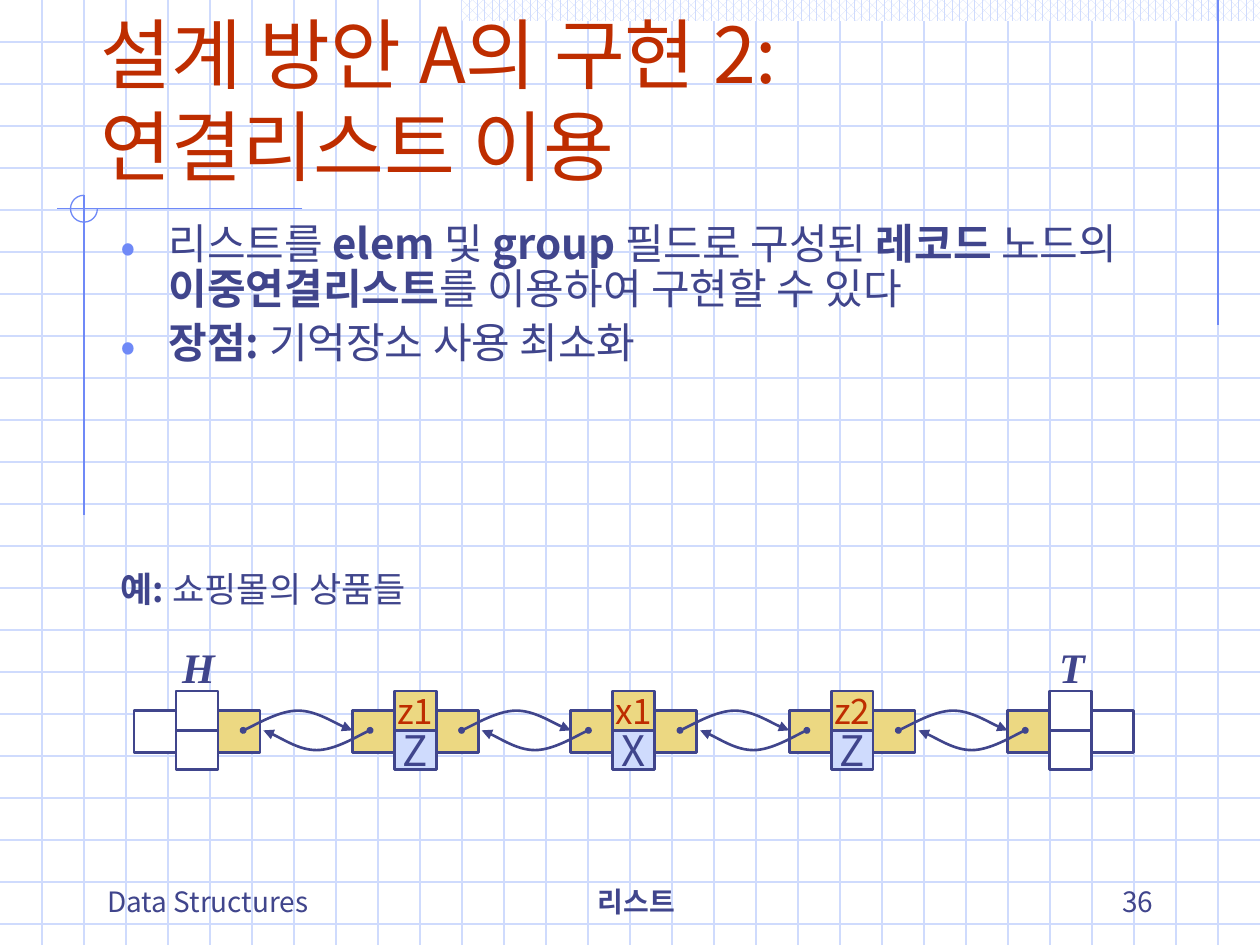
from lxml import etree
from pptx import Presentation, util as u
from pptx.dml.color import RGBColor
from pptx.enum import dml, shapes, text
from pptx.oxml.ns import qn

INK, RED, BLUE, PALE, GOLD, WHITE = (
    "40458C", "BE2D00", "6F89F7", "CFDBFD", "ECD882", "FFFFFF")
SANS, SERIF = "Noto Sans CJK KR", "Times New Roman"
CELL = u.Inches(10) / 30  # the slide is 30 columns by 22.5 rows
LEFT, CENTER, RIGHT = text.PP_ALIGN.LEFT, text.PP_ALIGN.CENTER, text.PP_ALIGN.RIGHT
TOP, MIDDLE, BOTTOM = (text.MSO_ANCHOR.TOP, text.MSO_ANCHOR.MIDDLE,
                       text.MSO_ANCHOR.BOTTOM)


def paint(shape, line=INK, width=1.5, fill=None):
    """Colour the line and fill, and switch the theme shadow off."""
    if hasattr(shape, "fill"):
        if fill:
            shape.fill.solid()
            shape.fill.fore_color.rgb = RGBColor.from_string(fill)
        else:
            shape.fill.background()
    shape.line.color.rgb = RGBColor.from_string(line)
    shape.line.width = u.Pt(width)
    etree.SubElement(shape._element.spPr, qn("a:effectLst"))
    return shape


def write(box, *paragraphs, size=16, color=INK, font=SANS, italic=False,
          align=LEFT, anchor=TOP, wrap=True, margins=(0.1, 0.05), bullet=None):
    """Fill a box; each paragraph is a list of (text, bold) runs."""
    frame = box.text_frame
    frame.word_wrap, frame.vertical_anchor = wrap, anchor
    frame.margin_left = frame.margin_right = u.Inches(margins[0])
    frame.margin_top = frame.margin_bottom = u.Inches(margins[1])
    for index, runs in enumerate(paragraphs):
        para = frame.add_paragraph() if index else frame.paragraphs[0]
        para.alignment = align
        if bullet:
            props = para._p.get_or_add_pPr()
            props.set("marL", str(u.Inches(0.38)))
            props.set("indent", str(-u.Inches(0.38)))
            tint = etree.SubElement(props, qn("a:buClr"))
            etree.SubElement(tint, qn("a:srgbClr"), val=BLUE)
            etree.SubElement(props, qn("a:buSzPct"), val="110000")
            etree.SubElement(props, qn("a:buFont"), typeface=font)
            etree.SubElement(props, qn("a:buChar"), char=bullet)
            para.line_spacing = 0.9
        if index:
            para.space_before = u.Pt(size * 0.2)
        for words, bold in runs:
            span = para.add_run()
            span.text = words
            span.font.size, span.font.bold, span.font.italic = u.Pt(size), bold, italic
            span.font.color.rgb = RGBColor.from_string(color)
            span.font.name = font
            props = span._r.get_or_add_rPr()
            props.set("kern", "0")
            etree.SubElement(props, qn("a:ea"), typeface=font)


deck = Presentation()
deck.slide_width, deck.slide_height = u.Inches(10), u.Inches(7.5)
page = deck.slides.add_slide(deck.slide_layouts[6])
parts = page.shapes

# Pale background grid: 22 rows and 29 columns
grid = [(0, row, 30, row) for row in range(1, 23)]
grid += [(column, 0, column, 22.5) for column in range(1, 30)]
for ends in grid:
    paint(parts.add_connector(shapes.MSO_CONNECTOR.STRAIGHT,
                              *[int(n * CELL) for n in ends]), PALE, 0.75)

# Dotted band along the top edge
band = parts.add_shape(shapes.MSO_SHAPE.RECTANGLE,
                       *[int(n * CELL) for n in (11, 0, 19, 0.5)])
band.shadow.inherit = False
band.line.fill.background()
band.fill.patterned()
band.fill.pattern = dml.MSO_PATTERN.PERCENT_60
band.fill.fore_color.rgb = RGBColor.from_string(PALE)
band.fill.back_color.rgb = RGBColor.from_string(WHITE)

# Thin rules and the arc where two of them cross
for ends in ((29, 0, 29, 7.75), (7.2, 4.97, 1.35, 4.97), (2, 4.65, 2, 12.27)):
    paint(parts.add_connector(shapes.MSO_CONNECTOR.STRAIGHT,
                              *[int(n * CELL) for n in ends]), BLUE, 0.75)
arc = paint(parts.add_shape(shapes.MSO_SHAPE.ARC,
                            *[int(n * CELL) for n in (1.68, 4.65, 0.64, 0.64)]),
            BLUE, 0.75)
arc.adjustments[0], arc.adjustments[1] = 0, 162  # three quarters of a turn

# Title, body, example and footer
body = ([("리스트를 ", False), ("elem ", True), ("및 ", False), ("group ", True),
         ("필드로 구성된 ", False), ("레코드 ", True), ("노드의 ", False),
         ("이중연결리스트", True), ("를 이용하여 구현할 수 있다", False)],
        [("장점: ", True), ("기억장소 사용 최소화", False)])
for area, paragraphs, style in (
    ((2.11, 0.94, 25.5, 3.75), [[("설계 방안 A의 구현 2: 연결리스트 이용", False)]],
     dict(size=44, color=RED, anchor=BOTTOM)),
    ((2.58, 5.16, 25.08, 7.26), body, dict(size=24, bullet="•")),
    ((2.58, 13.36, 22.5, 1.32), [[("예: ", True), ("쇼핑몰의 상품들", False)]],
     dict(size=20)),
    ((2.26, 20.5, 8.07, 1.5), [[("Data Structures", False)]], dict(anchor=BOTTOM)),
    ((10.55, 20.5, 9.2, 1.5), [[("리스트", True)]],
     dict(anchor=BOTTOM, align=CENTER)),
    ((21.5, 20.5, 6.25, 1.5), [[("36", False)]], dict(anchor=BOTTOM, align=RIGHT)),
):
    write(parts.add_textbox(*[int(n * CELL) for n in area]), *paragraphs, **style)

# List nodes: label, elem, group, then fills of left, right, upper, lower
nodes = (("H", "", "", WHITE, GOLD, WHITE, WHITE),
         ("", "z1", "Z", GOLD, GOLD, GOLD, PALE),
         ("", "x1", "X", GOLD, GOLD, GOLD, PALE),
         ("", "z2", "Z", GOLD, GOLD, GOLD, PALE),
         ("T", "", "", GOLD, WHITE, WHITE, WHITE))
FIRST, PITCH, AXIS = 3.19, 5.2, 17.39
for index, (label, elem, group, *fills) in enumerate(nodes):
    start = FIRST + index * PITCH
    fields = ((0, 16.92, 1, "", 20, INK), (2, 16.92, 1, "", 20, INK),
              (1, 16.45, 0.94, elem, 20, RED), (1, AXIS, 0.94, group, 24, INK))
    for (column, row, height, words, size, color), fill in zip(fields, fills):
        box = paint(parts.add_shape(
            shapes.MSO_SHAPE.RECTANGLE,
            *[int(n * CELL) for n in (start + column, row, 1, height)]), fill=fill)
        if words:
            write(box, [(words, False)], size=size, color=color, align=CENTER,
                  anchor=MIDDLE, wrap=False, margins=(0.1, 0))
    if label:
        box = parts.add_textbox(
            *[int(n * CELL) for n in (start + 0.95, 15.27, 1.17, 1.2)])
        write(box, [(label, True)], size=24, font=SERIF, italic=True,
              align=CENTER, margins=(0, 0))

# Curved links: next above the axis, previous below it
curve = ((0, 0), (0.08, 0.17), (0.33, 1), (0.5, 1), (0.66, 1), (0.9, 0.17), (1, 0))
for index in range(len(nodes) - 1):
    start = FIRST + index * PITCH
    for tail, tip, rise in ((2.6, PITCH, -0.47), (5.62, 3.08, 0.47)):
        points = [(int((start + tail + x * (tip - tail)) * CELL),
                   int((AXIS + y * rise) * CELL)) for x, y in curve]
        builder = parts.build_freeform(*points[0])
        builder.add_line_segments(points[3::3], close=False)
        link = paint(builder.convert_to_shape())
        # Bend each straight segment with its two control points
        for half, segment in enumerate(list(link._element.iter(qn("a:lnTo")))):
            bend = etree.Element(qn("a:cubicBezTo"))
            for x, y in points[half * 3 + 1:half * 3 + 4]:
                etree.SubElement(bend, qn("a:pt"), x=str(x - link.left),
                                 y=str(y - link.top))
            segment.getparent().replace(segment, bend)
        stroke = link.line._get_or_add_ln()
        etree.SubElement(stroke, qn("a:round"))
        etree.SubElement(stroke, qn("a:headEnd"), type="oval", w="sm", len="sm")
        etree.SubElement(stroke, qn("a:tailEnd"), type="triangle", w="med", len="med")

deck.save("out.pptx")
